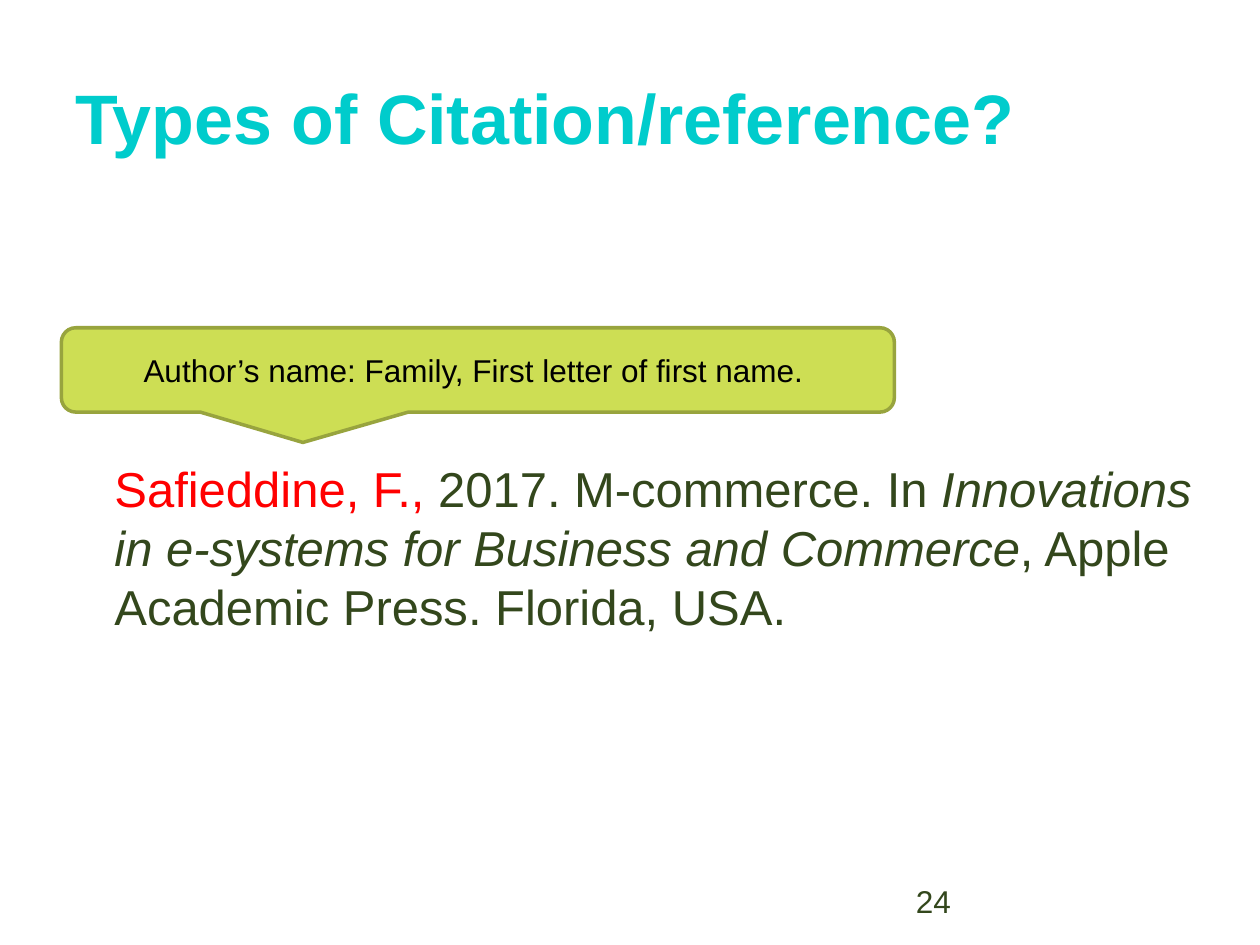
from pptx import Presentation
from pptx.dml.color import RGBColor
from pptx.enum.shapes import MSO_SHAPE
from pptx.enum.text import MSO_ANCHOR, PP_ALIGN
from pptx.util import Pt

RECT = MSO_SHAPE.RECTANGLE
CALLOUT = MSO_SHAPE.ROUNDED_RECTANGULAR_CALLOUT
MIDDLE = MSO_ANCHOR.MIDDLE
LEFT, CENTER = PP_ALIGN.LEFT, PP_ALIGN.CENTER

COLORS = {
    "white": "FFFFFF",
    "title": "00CCCC",
    "body": "33471C",
    "author": "FF0000",
    "callout": "CDDE54",
    "outline": "98A43E",
    "black": "000000",
}


class SlideBuilder:
    def __init__(self, slide, font="Arial"):
        self.s = slide
        self.font = font

    def color(self, name):
        return RGBColor.from_string(COLORS[name])

    def add_runs(self, tf, runs, align=LEFT):
        """Fill a text frame with one paragraph of (text, format) runs."""
        tf.word_wrap = True
        p = tf.paragraphs[0]
        p.alignment = align
        for text, fmt in runs:
            r = p.add_run()
            r.text = text
            r.font.name = self.font
            for key, value in fmt.items():
                if key == "color":
                    r.font.color.rgb = self.color(value)
                else:
                    setattr(r.font, key, value)

    def text(self, box, runs):
        sp = self.s.shapes.add_textbox(*map(Pt, box))
        self.add_runs(sp.text_frame, runs)

    def shape(self, kind, box, fill, line, width, runs, align=LEFT, adjustments=()):
        sp = self.s.shapes.add_shape(kind, *map(Pt, box))
        sp.shadow.inherit = False
        for i, value in enumerate(adjustments):
            sp.adjustments[i] = value
        sp.fill.solid()
        sp.fill.fore_color.rgb = self.color(fill)
        sp.line.color.rgb = self.color(line)
        sp.line.width = Pt(width)
        sp.text_frame.vertical_anchor = MIDDLE
        self.add_runs(sp.text_frame, runs, align)


def main():
    prs = Presentation()
    prs.slide_width, prs.slide_height = Pt(720), Pt(540)
    b = SlideBuilder(prs.slides.add_slide(prs.slide_layouts[6]))

    title = {"size": Pt(40), "bold": True, "color": "title"}
    small = {"size": Pt(18), "color": "body"}
    body = {"size": Pt(28), "color": "body"}

    b.shape(RECT, (36, 21.6, 648, 90), "white", "white", 0.75,
            [("Types of Citation/reference?", title)])
    b.text((516.24, 500.4, 167.76, 28.8), [("24", small)])
    b.shape(CALLOUT, (35.1, 187.3, 476, 48.2), "callout", "outline", 2,
            [("Author’s name: Family, First letter of first name. ",
              {**small, "color": "black"})],
            CENTER, (-0.21, 0.86, 0.17))
    b.text((58.3, 258.5, 641.5, 108.7), [
        ("Safieddine, F., ", {**body, "color": "author"}),
        ("2017. M-commerce. In ", body),
        ("Innovations in e-systems for Business and Commerce",
         {**body, "italic": True}),
        (", Apple Academic Press. Florida, USA.", body),
    ])
    prs.save("out.pptx")


if __name__ == "__main__":
    main()
